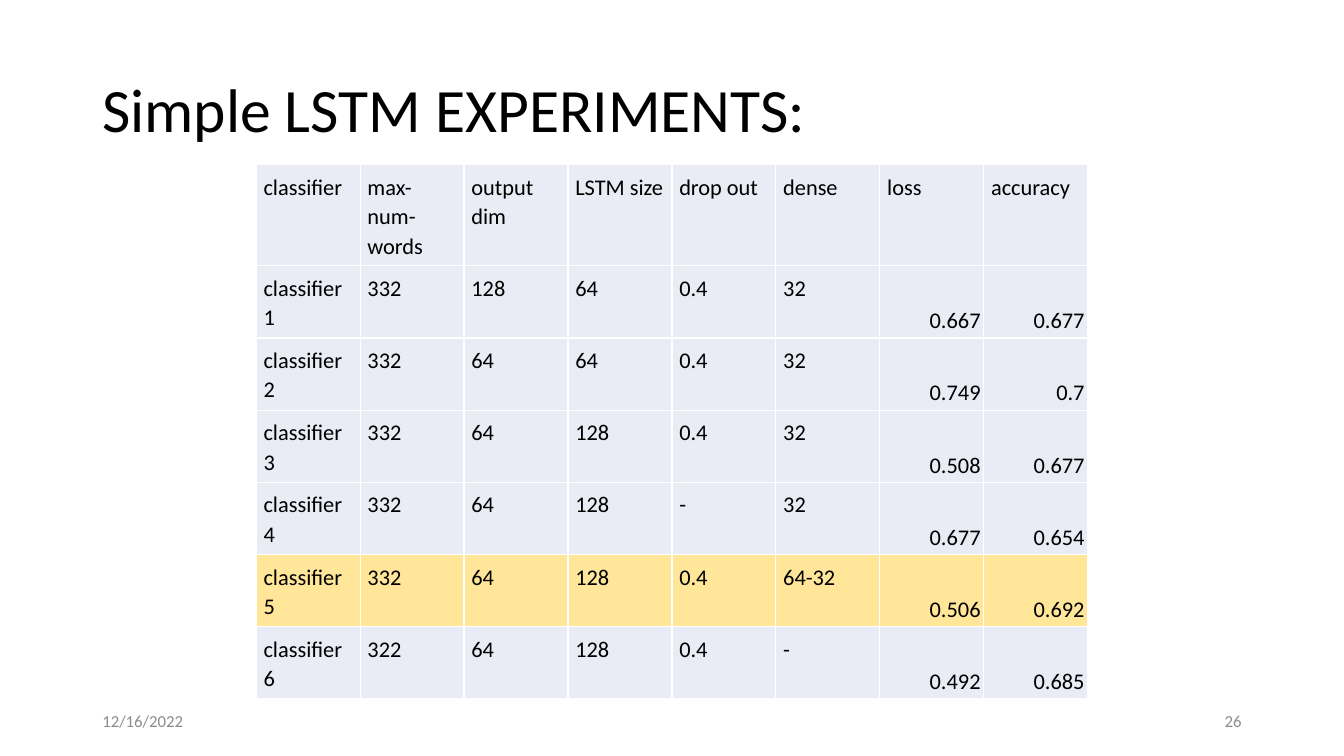
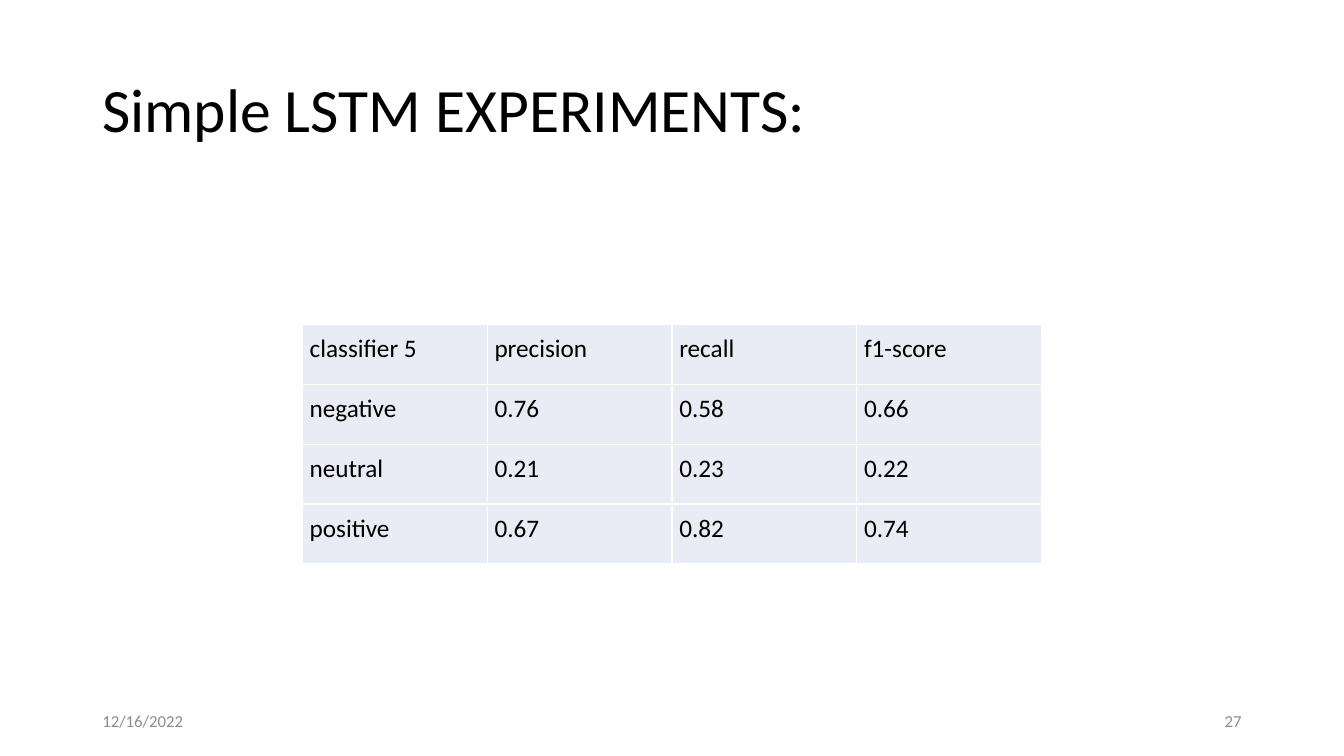
from lxml.etree import SubElement
from pptx import Presentation
from pptx.dml.color import RGBColor
from pptx.enum.text import MSO_ANCHOR as Anchor, PP_ALIGN as Align
from pptx.oxml.ns import qn
from pptx.util import Emu, Pt

EMU_PER_PX = 9525
SLIDE_W, SLIDE_H = 1280, 720
MARGIN = 88
FONT = "Calibri"
BLACK, GREY, WHITE = "000000", "8C8C8C", "FFFFFF"
CELL_FILL, HIGHLIGHT = "E9EBF5", "FFE699"
TITLE = "Simple LSTM EXPERIMENTS:"
DATE = "12/16/2022"
FIRST_PAGE = 26

EXPERIMENTS = [
    ["classifier", "max-num-words", "output dim", "LSTM size",
     "drop out", "dense", "loss", "accuracy"],
    ["classifier 1", "332", "128", "64", "0.4", "32", "0.667", "0.677"],
    ["classifier2", "332", "64", "64", "0.4", "32", "0.749", "0.7"],
    ["classifier 3", "332", "64", "128", "0.4", "32", "0.508", "0.677"],
    ["classifier 4", "332", "64", "128", "-", "32", "0.677", "0.654"],
    ["classifier 5", "332", "64", "128", "0.4", "64-32", "0.506", "0.692"],
    ["classifier 6", "322", "64", "128", "0.4", "-", "0.492", "0.685"],
]
BEST_ROW = 5
RESULT_COLUMNS = (6, 7)

SCORES = [
    ["classifier 5", "precision", "recall", "f1-score"],
    ["negative", "0.76", "0.58", "0.66"],
    ["neutral", "0.21", "0.23", "0.22"],
    ["positive", "0.67", "0.82", "0.74"],
]


def px(length):
    return Emu(length * EMU_PER_PX)


def rgb(value):
    return RGBColor.from_string(value)


def style_paragraph(paragraph, size, color, align=Align.LEFT, spacing=1.0):
    paragraph.alignment = align
    paragraph.line_spacing = spacing
    font = paragraph.font
    font.name, font.size = FONT, Pt(size)
    font.color.rgb = rgb(color)


def add_title(slide):
    title = slide.shapes.title
    title.left, title.top = px(MARGIN), px(38)
    title.width, title.height = px(SLIDE_W - 2 * MARGIN), px(139)
    frame = title.text_frame
    frame.text = TITLE
    frame.vertical_anchor = Anchor.MIDDLE
    style_paragraph(frame.paragraphs[0], 44, BLACK, spacing=0.9)


def add_footer_text(slide, left, text, align):
    frame = slide.shapes.add_textbox(px(left), px(667), px(288), px(38)).text_frame
    frame.word_wrap = True
    frame.vertical_anchor = Anchor.MIDDLE
    frame.text = text
    style_paragraph(frame.paragraphs[0], 12, GREY, align)


def add_base_slide(prs, page):
    """Add a slide with the shared title, date and page number."""
    slide = prs.slides.add_slide(prs.slide_layouts[5])
    add_title(slide)
    add_footer_text(slide, MARGIN, DATE, Align.LEFT)
    add_footer_text(slide, SLIDE_W - MARGIN - 288, str(page), Align.RIGHT)
    return slide


def add_cell_borders(cell):
    properties = cell._tc.get_or_add_tcPr()
    for side in ("lnL", "lnR", "lnT", "lnB"):
        line = SubElement(properties, qn(f"a:{side}"), w=str(Pt(1)))
        fill = SubElement(line, qn("a:solidFill"))
        SubElement(fill, qn("a:srgbClr"), val=WHITE)


def fill_cell(cell, text, size, color, is_result):
    """Write one cell; results sit at the bottom right with narrow margins."""
    add_cell_borders(cell)
    cell.fill.solid()
    cell.fill.fore_color.rgb = rgb(color)
    margin = px(3 if is_result else 7)
    cell.margin_left = cell.margin_right = margin
    cell.margin_top = cell.margin_bottom = margin
    cell.vertical_anchor = Anchor.BOTTOM if is_result else Anchor.TOP
    cell.text = text
    align, spacing = (Align.RIGHT, 1.15) if is_result else (Align.LEFT, 1.07)
    style_paragraph(cell.text_frame.paragraphs[0], size, BLACK, align, spacing)


def add_data_table(slide, data, left, top, column_width, row_heights, size,
                   result_columns=(), highlighted_row=None):
    columns = len(data[0])
    table = slide.shapes.add_table(
        len(data), columns, px(left), px(top),
        px(columns * column_width), px(sum(row_heights))).table
    table.first_row = table.horz_banding = False
    for column in table.columns:
        column.width = px(column_width)
    for r, (values, height) in enumerate(zip(data, row_heights)):
        table.rows[r].height = px(height)
        color = HIGHLIGHT if r == highlighted_row else CELL_FILL
        for c, value in enumerate(values):
            is_result = r > 0 and c in result_columns
            fill_cell(table.cell(r, c), value, size, color, is_result)


def main():
    prs = Presentation()
    prs.slide_width, prs.slide_height = px(SLIDE_W), px(SLIDE_H)

    experiments = add_base_slide(prs, FIRST_PAGE)
    add_data_table(experiments, EXPERIMENTS, 244, 157, 99, [90] + [64] * 6, 16,
                   RESULT_COLUMNS, BEST_ROW)

    scores = add_base_slide(prs, FIRST_PAGE + 1)
    add_data_table(scores, SCORES, 288, 309, 176, [57] * 4, 18)

    prs.save("out.pptx")


if __name__ == "__main__":
    main()
